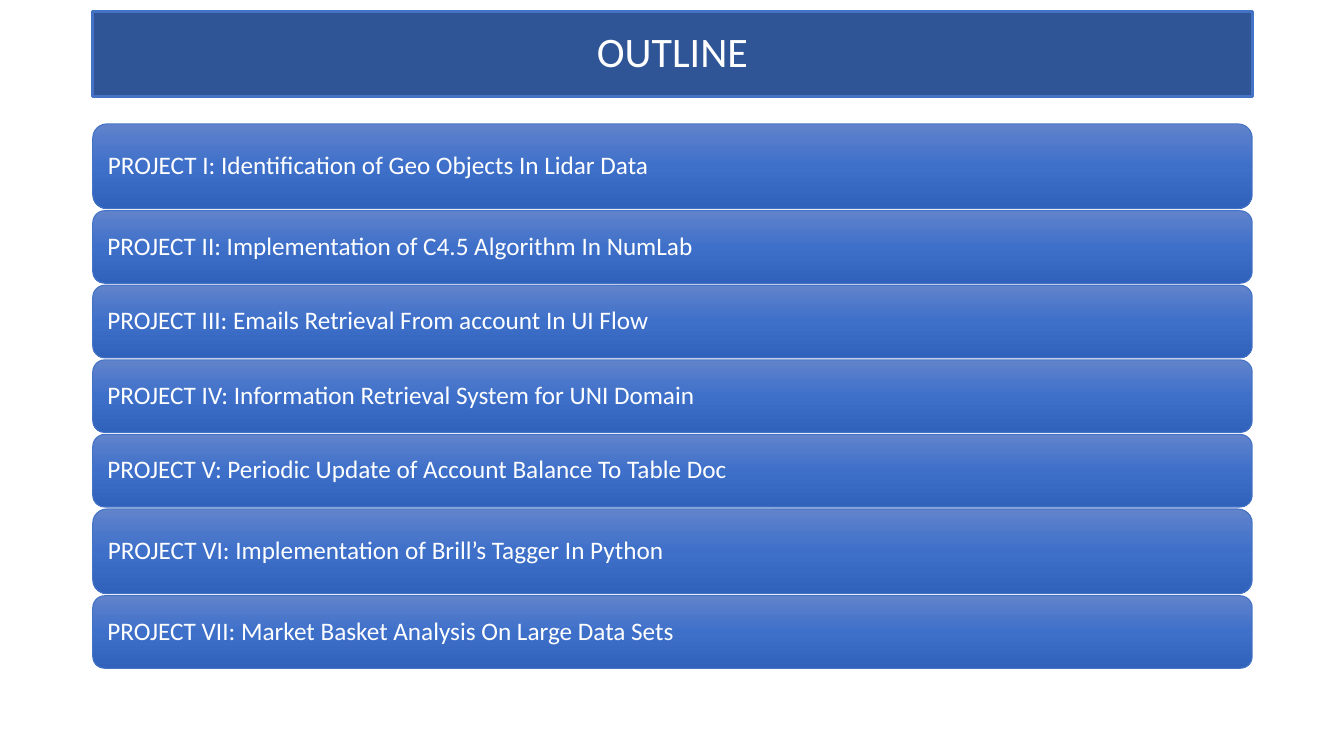
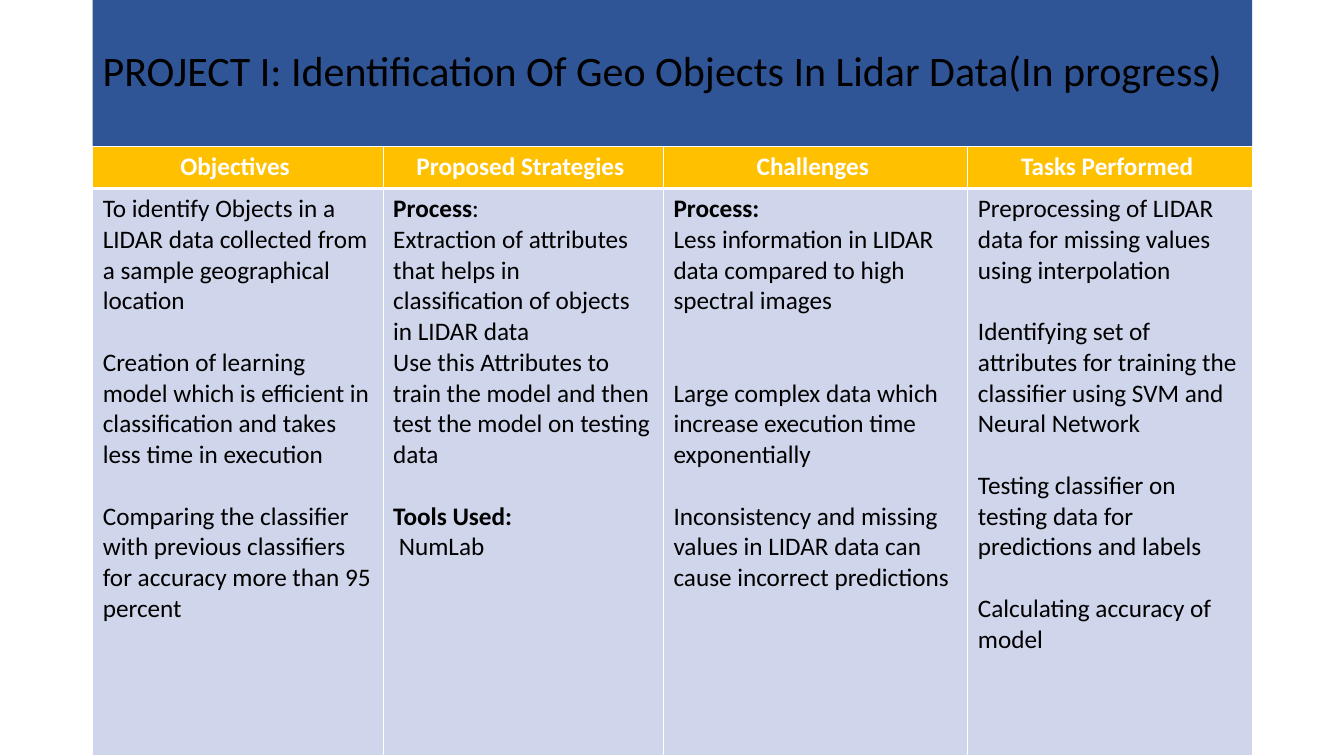
from lxml.etree import SubElement
from pptx import Presentation
from pptx.dml.color import RGBColor
from pptx.enum.shapes import MSO_SHAPE
from pptx.enum.text import MSO_ANCHOR, PP_ALIGN
from pptx.oxml.ns import qn
from pptx.util import Inches, Pt

FONT = "Calibri"
NAVY, BLUE, GOLD, PALE = "2F5597", "4472C4", "FFC000", "CFD5EA"
WHITE, BLACK = "FFFFFF", "000000"
GRADIENT = [(0, "6183CB"), (50, "3E70CA"), (100, "3062BB")]
LEFT, WIDTH = 0.92, 11.5
TITLE_SIZE, BODY_SIZE, LINE_HEIGHT = 30, 18, 22


def color(value):
    return RGBColor.from_string(value)


class SlideBuilder:
    def __init__(self, deck):
        self.deck = deck
        self.slide = None

    def new_slide(self):
        self.slide = self.deck.slides.add_slide(self.deck.slide_layouts[6])

    def style_span(self, span, size, ink, bold=False):
        span.font.name = FONT
        span.font.size = Pt(size)
        span.font.bold = bold
        span.font.color.rgb = color(ink)

    def box(self, kind, top, height, text, size, ink, align=PP_ALIGN.LEFT):
        box = self.slide.shapes.add_shape(
            kind, Inches(LEFT), Inches(top), Inches(WIDTH), Inches(height))
        box.shadow.inherit = False
        frame = box.text_frame
        frame.text = text
        frame.word_wrap = True
        frame.vertical_anchor = MSO_ANCHOR.MIDDLE
        para = frame.paragraphs[0]
        para.alignment = align
        para.line_spacing = 0.9
        self.style_span(para.runs[0], size, ink)
        return box

    def title(self, text, top, height, ink, align=PP_ALIGN.LEFT, outlined=False):
        band = self.box(MSO_SHAPE.RECTANGLE, top, height, text, TITLE_SIZE, ink, align)
        band.fill.solid()
        band.fill.fore_color.rgb = color(NAVY)
        if outlined:
            band.line.color.rgb = color(BLUE)
            band.line.width = Pt(2.25)
        else:
            band.line.fill.background()

    def bar(self, text, top, height):
        bar = self.box(MSO_SHAPE.ROUNDED_RECTANGLE, top, height, text, BODY_SIZE, WHITE)
        bar.text_frame.margin_left = Inches(0.11)
        bar.line.color.rgb = color(BLUE)
        bar.line.width = Pt(0.75)
        bar.fill.gradient()
        bar.fill.gradient_angle = 270
        stops = bar._element.spPr.find(qn("a:gradFill")).find(qn("a:gsLst"))
        for stop in list(stops):
            stops.remove(stop)
        for percent, value in GRADIENT:
            stop = SubElement(stops, qn("a:gs"), pos=str(percent * 1000))
            SubElement(stop, qn("a:srgbClr"), val=value)

    def borders(self, cell, top, bottom):
        properties = cell._tc.get_or_add_tcPr()
        sides = [("a:lnL", 1), ("a:lnR", 1), ("a:lnT", top), ("a:lnB", bottom)]
        for position, (side, width) in enumerate(sides):
            line = SubElement(properties, qn(side), w=str(Pt(width)))
            fill = SubElement(line, qn("a:solidFill"))
            SubElement(fill, qn("a:srgbClr"), val=WHITE)
            properties.insert(position, line)

    def fill_cell(self, cell, value, top, bottom):
        cell.fill.solid()
        cell.fill.fore_color.rgb = color(value)
        self.borders(cell, top, bottom)

    def header_cell(self, cell, text):
        self.fill_cell(cell, GOLD, 1, 3)
        cell.text_frame.text = text
        para = cell.text_frame.paragraphs[0]
        para.alignment = PP_ALIGN.CENTER
        self.style_span(para.runs[0], BODY_SIZE, WHITE, True)

    def body_cell(self, cell, entries):
        self.fill_cell(cell, PALE, 3, 1)
        frame = cell.text_frame
        for index, (lines_before, heading, text) in enumerate(entries):
            para = frame.add_paragraph() if index else frame.paragraphs[0]
            para.space_before = Pt(lines_before * LINE_HEIGHT)
            for part, bold in ((heading, True), (text, False)):
                if part:
                    span = para.add_run()
                    span.text = part
                    self.style_span(span, BODY_SIZE, BLACK, bold)

    def table(self, top, column_widths, row_heights, columns):
        table = self.slide.shapes.add_table(
            len(row_heights), len(columns), Inches(LEFT), Inches(top),
            Inches(WIDTH), Inches(sum(row_heights))).table
        for row, height in zip(table.rows, row_heights):
            row.height = Inches(height)
        for index, (heading, entries) in enumerate(columns):
            table.columns[index].width = Inches(column_widths[index])
            self.header_cell(table.cell(0, index), heading)
            self.body_cell(table.cell(1, index), entries)


deck = Presentation()
deck.slide_width = Inches(13.33)
deck.slide_height = Inches(7.5)
builder = SlideBuilder(deck)

TALL, SHORT, GAP = 0.84, 0.72, 0.02
projects = [
    ("PROJECT I: Identification of Geo Objects In Lidar Data", TALL),
    ("PROJECT II: Implementation of C4.5 Algorithm In NumLab", SHORT),
    ("PROJECT III: Emails Retrieval From account In UI Flow", SHORT),
    ("PROJECT IV: Information Retrieval System for UNI Domain", SHORT),
    ("PROJECT V: Periodic Update of Account Balance To Table Doc", SHORT),
    ("PROJECT VI: Implementation of Brill’s Tagger In Python", TALL),
    ("PROJECT VII: Market Basket Analysis On Large Data Sets", SHORT),
]
builder.new_slide()
builder.title("OUTLINE", 0.11, 0.85, WHITE, PP_ALIGN.CENTER, outlined=True)
bar_top = 1.23
for project, bar_height in projects:
    builder.bar(project, bar_top, bar_height)
    bar_top += bar_height + GAP

columns = [
    ("Objectives ", [
        (0, "", "To identify Objects in a LIDAR data collected from a sample "
                "geographical location"),
        (1, "", "Creation of learning model which is efficient in classification "
                "and takes less time in execution"),
        (1, "", "Comparing the classifier with previous classifiers for accuracy "
                "more than 95 percent"),
    ]),
    ("Proposed Strategies ", [
        (0, "Process", ":"),
        (0, "", "Extraction of attributes that helps in classification of objects "
                "in LIDAR data"),
        (0, "", "Use this Attributes to train the model and then test the model "
                "on testing data"),
        (1, "Tools Used:", ""),
        (0, "", " NumLab"),
    ]),
    ("Challenges ", [
        (0, "Process:", ""),
        (0, "", "Less information in LIDAR data compared to high spectral images"),
        (2, "", "Large complex data which increase execution time exponentially "),
        (1, "", "Inconsistency and missing values in LIDAR data can cause "
                "incorrect predictions"),
    ]),
    ("Tasks Performed ", [
        (0, "", "Preprocessing of LIDAR data for missing values using interpolation"),
        (1, "", "Identifying set of attributes for training the classifier using "
                "SVM and Neural Network"),
        (1, "", "Testing classifier on testing data for predictions and labels "),
        (1, "", "Calculating accuracy of model"),
    ]),
]
builder.new_slide()
builder.title("PROJECT I: Identification Of Geo Objects In Lidar Data(In progress)",
              0, 1.45, BLACK)
builder.table(1.45, [2.88, 2.78, 3.02, 2.82], [0.42, 5.63], columns)

deck.save("out.pptx")
